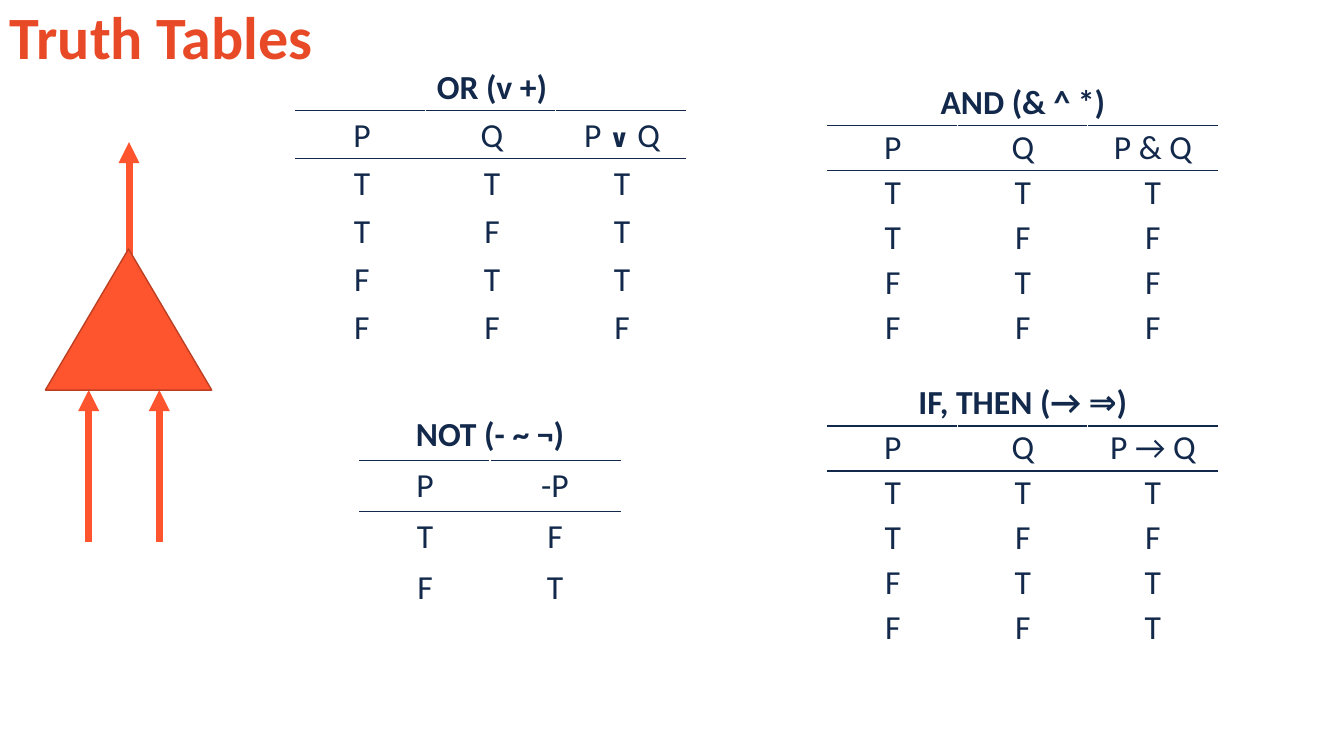
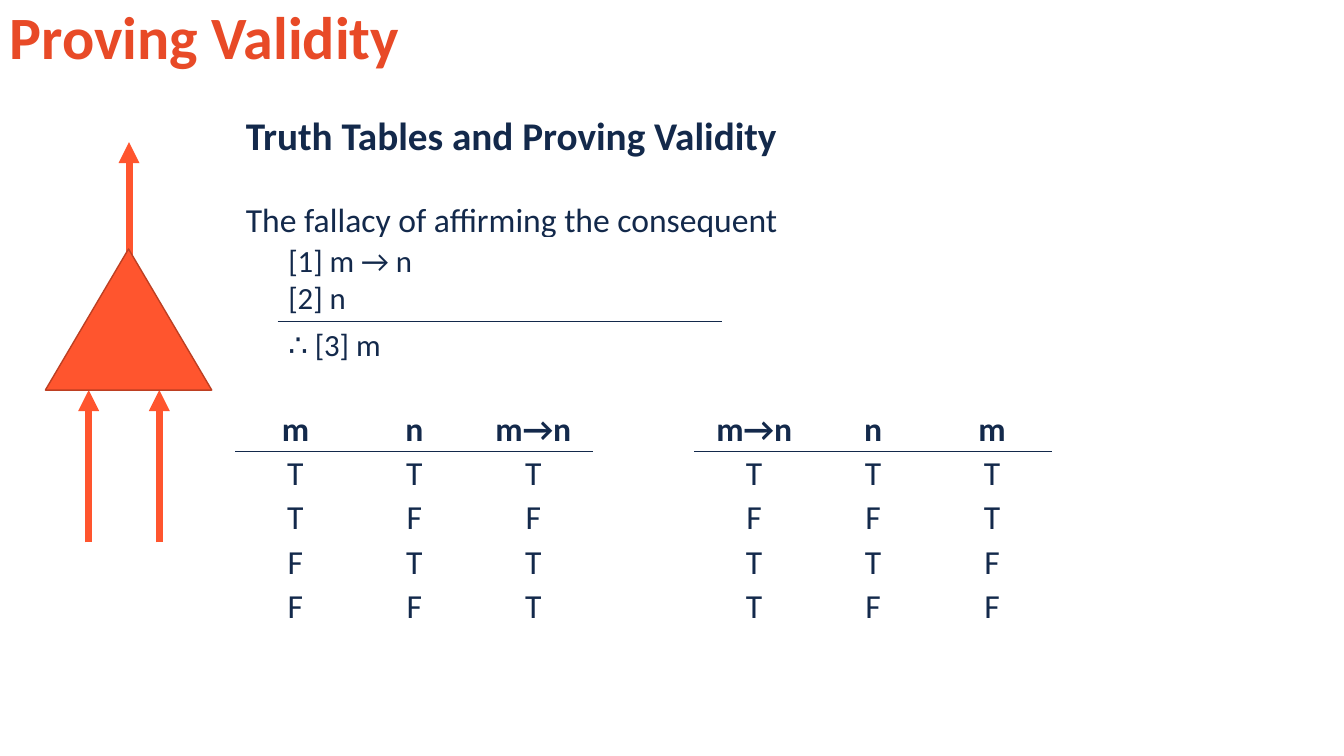
from dataclasses import dataclass
from itertools import product

from lxml import etree
from pptx import Presentation
from pptx.dml.color import RGBColor
from pptx.enum import shapes, text
from pptx.oxml import ns
from pptx.util import Inches, Pt


@dataclass(frozen=True)
class Theme:
    font: str = "Calibri"
    navy: str = "13294B"
    red: str = "E84A27"
    orange: str = "FF552E"
    rust: str = "BD3F22"
    white: str = "FFFFFF"
    title: float = 42.9
    head: float = 28
    body: float = 24
    proof: float = 22
    small: float = 18


T = Theme()
LEFT, MID = text.PP_ALIGN.LEFT, text.PP_ALIGN.CENTER
SLIM = (0.1, 0.02, 0.1, 0.02)
TIGHT = (0.05, 0.05, 0.02, 0.02)
LOOSE = (0.1, 0.05, 0.1, 0.05)


def rgb(code):
    return RGBColor.from_string(code)


def node(root, tag, **attrs):
    return etree.SubElement(root, ns.qn(tag), attrs)


def write(frame, paras, color=T.navy, align=LEFT):
    """Fill a frame; each paragraph is a list of (words, size, bold) runs."""
    for i, runs in enumerate(paras):
        para = frame.paragraphs[0] if i == 0 else frame.add_paragraph()
        para.alignment = align
        for words, size, bold in runs:
            run = para.add_run()
            run.text = words
            font = run.font
            font.name, font.size, font.bold = T.font, Pt(size), bold
            font.color.rgb = rgb(color)


def add_box(slide, left, top, width, height):
    box = slide.shapes.add_textbox(*map(Inches, (left, top, width, height)))
    box.text_frame.word_wrap = True
    return box.text_frame


def add_title(slide, words):
    frame = add_box(slide, 0, 0, 12.56, 0.8)
    frame.vertical_anchor = text.MSO_ANCHOR.MIDDLE
    write(frame, [[(words, T.title, True)]], T.red)
    frame.paragraphs[0].line_spacing = 0.9


def add_arrow(slide, x, start, end):
    arrow = slide.shapes.add_connector(
        shapes.MSO_CONNECTOR.STRAIGHT, *map(Inches, (x, start, x, end)))
    arrow.line.width = Pt(5)
    arrow.line.color.rgb = rgb(T.orange)
    node(arrow.line._get_or_add_ln(), "a:tailEnd", type="triangle")
    node(arrow._element.spPr, "a:effectLst")


def add_gate(slide):
    """Draw the logic gate: two inputs below, one output above."""
    for x, start in ((0.88, 5.38), (1.58, 5.38), (1.28, 2.92)):
        add_arrow(slide, x, start, start - 1.51)
    gate = slide.shapes.add_shape(
        shapes.MSO_SHAPE.ISOSCELES_TRIANGLE,
        *map(Inches, (0.45, 2.47, 1.65, 1.4)))
    gate.shadow.inherit = False
    gate.fill.solid()
    gate.fill.fore_color.rgb = rgb(T.orange)
    gate.line.color.rgb = rgb(T.rust)
    gate.line.width = Pt(1)


def set_edges(cell, top, bottom):
    props = cell._tc.get_or_add_tcPr()
    edges = (("L", T.white), ("R", T.white), ("T", top), ("B", bottom))
    for i, (side, color) in enumerate(edges):
        line = etree.Element(ns.qn(f"a:ln{side}"), w=str(Pt(1)))
        node(node(line, "a:solidFill"), "a:srgbClr", val=color)
        props.insert(i, line)


def add_grid(slide, left, top, width, heights, rows, ruled=1, pad=SLIM,
             size=T.body, bold=True, align=MID):
    """Add a table with a dark rule under each of its first `ruled` rows.

    A row of one cell spans all columns; `bold` applies to the first row.
    """
    cols = max(map(len, rows))
    grid = slide.shapes.add_table(
        len(rows), cols, Inches(left), Inches(top),
        Inches(width * cols), Inches(sum(heights))).table
    grid.first_row = grid.horz_banding = False
    for col in grid.columns:
        col.width = Inches(width)
    for r, row in enumerate(rows):
        grid.rows[r].height = Inches(heights[r])
        above = T.navy if 0 < r <= ruled else T.white
        below = T.navy if r < ruled else T.white
        for c in range(cols):
            cell = grid.cell(r, c)
            (cell.margin_left, cell.margin_top,
             cell.margin_right, cell.margin_bottom) = map(Inches, pad)
            cell.fill.background()
            set_edges(cell, above, below)
            if c < len(row):
                paras = row[c]
                if isinstance(paras, str):
                    paras = [[(words, size, bold and r == 0)]
                             for words in paras.split("\n")]
                write(cell.text_frame, paras, align=align)
        if len(row) < cols:
            grid.cell(r, 0).merge(grid.cell(r, cols - 1))


def truth(rule, count=2):
    """List every row of inputs with the result of the rule."""
    rows = [(*vals, rule(*vals)) for vals in product((True, False), repeat=count)]
    return [["T" if val else "F" for val in row] for row in rows]


def implies(p, q):
    return not p or q


def add_tables(slide):
    either = [[("P ", T.body, False), ("∨", T.small, True), (" Q", T.body, False)]]
    for left, top, high, pad, name, heads, rows in (
        (8.21, 0.8, 0.44, SLIM, "AND (& ^ *)", ["P", "Q", "P & Q"],
         truth(lambda p, q: p and q)),
        (2.93, 0.62, 0.47, TIGHT, "OR (v +)", ["P", "Q", either],
         truth(lambda p, q: p or q)),
        (3.57, 4.06, 0.5, LOOSE, "NOT (- ~ ¬)", ["P", "-P"],
         truth(lambda p: not p, 1)),
        (8.21, 3.78, 0.44, SLIM, "IF, THEN (→ ⇒)", ["P", "Q", "P → Q"],
         truth(implies)),
    ):
        rows = [[name], heads, *rows]
        add_grid(slide, left, top, 1.29, [high] * len(rows), rows, 2, pad)


def add_proof(slide):
    frame = add_box(slide, 2.34, 1.05, 10.54, 1.38)
    write(frame, [[("Truth Tables and Proving Validity", T.head, True)],
                  [("The fallacy of affirming the consequent", T.body, False)]])
    frame.paragraphs[1].space_before = Pt(29)
    add_grid(slide, 2.76, 2.36, 4.4, [0.83, 0.47],
             [["[1] m → n\n[2] n"], ["∴ [3] m"]],
             pad=LOOSE, size=T.proof, bold=False, align=LEFT)
    rows = [["m", "n", "m→n"], *truth(implies)]
    flipped = [row[::-1] for row in rows]
    for left, cells in ((2.34, rows), (6.89, flipped)):
        add_grid(slide, left, 4.04, 1.18, [0.44] * len(cells), cells)


def main():
    deck = Presentation()
    deck.slide_width, deck.slide_height = Inches(13.33), Inches(7.5)
    for title, fill in (("Truth Tables", add_tables),
                        ("Proving Validity", add_proof)):
        slide = deck.slides.add_slide(deck.slide_layouts[6])
        add_gate(slide)
        fill(slide)
        add_title(slide, title)
    deck.save("out.pptx")


if __name__ == "__main__":
    main()
